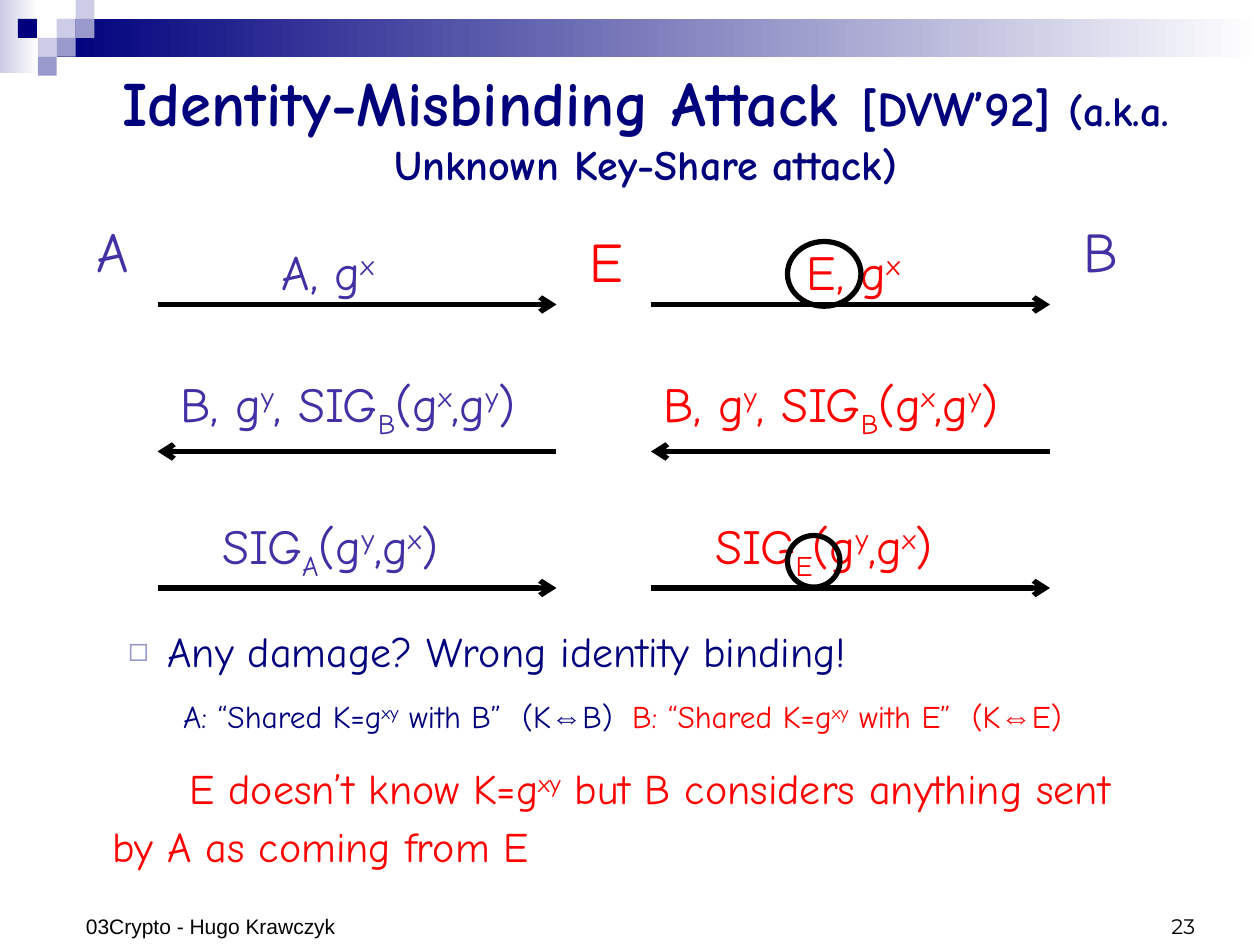
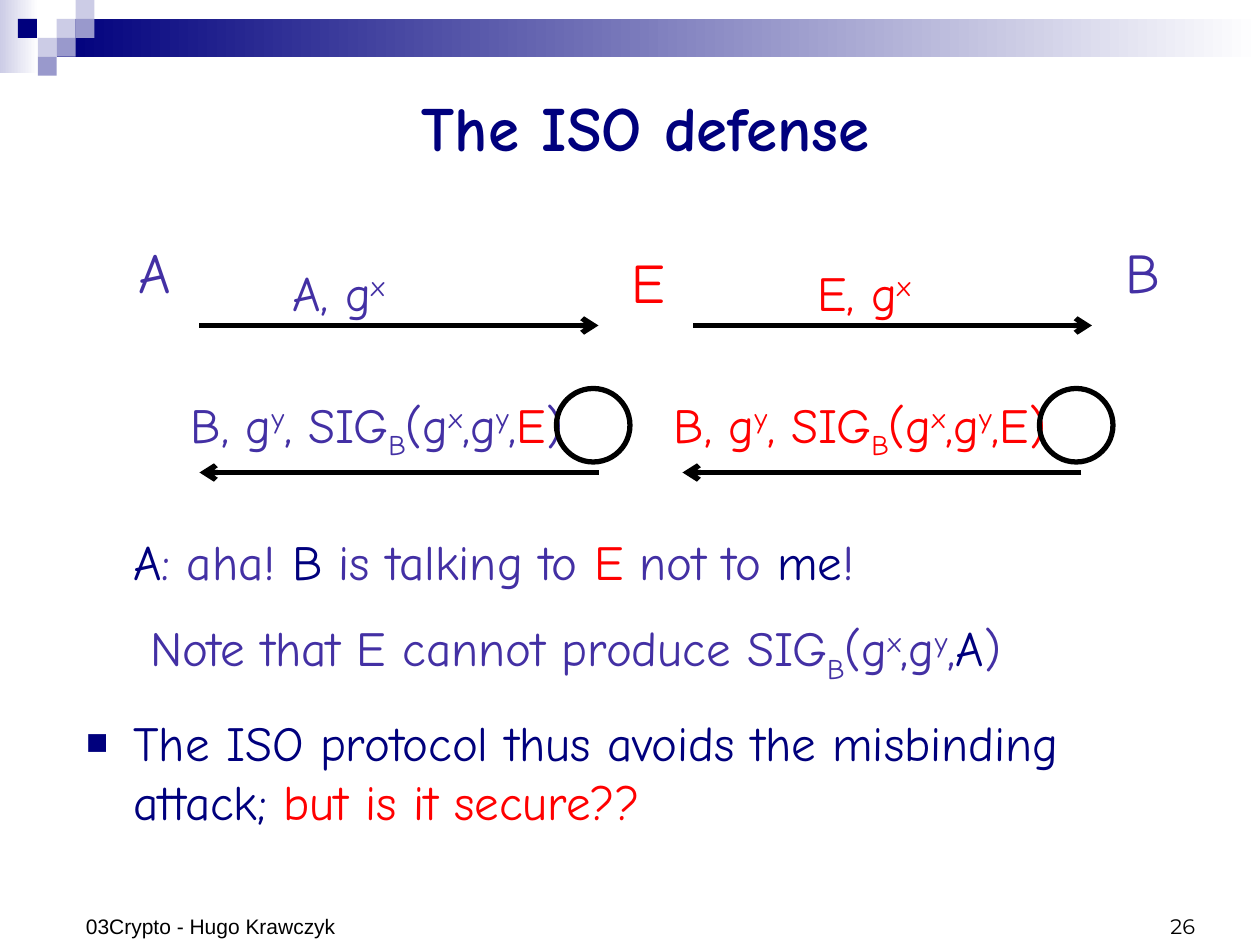
import itertools

import lxml.etree
import pptx
import pptx.dml.color
import pptx.enum.shapes
import pptx.enum.text
import pptx.oxml.ns
import pptx.util

Pt = pptx.util.Pt
RGBColor = pptx.dml.color.RGBColor
SHAPES = pptx.enum.shapes.MSO_SHAPE
ALIGN = pptx.enum.text.PP_ALIGN
ANCHOR = pptx.enum.text.MSO_ANCHOR

NAVY = RGBColor(0x00, 0x00, 0x7D)
PERIWINKLE = RGBColor(0x99, 0x99, 0xCC)
LAVENDER = RGBColor(0xCC, 0xCC, 0xE6)
VIOLET = RGBColor(0x43, 0x30, 0xA4)
RED = RGBColor(0xFF, 0x00, 0x00)
BLACK = RGBColor(0x00, 0x00, 0x00)
WHITE = RGBColor(0xFF, 0xFF, 0xFF)

HAND_FONT = "Comic Neue"
SYMBOL_FONT = "Arial"
BASELINES = {"^": 30000, "_": -25000}

FOOTER = "03Crypto - Hugo Krawczyk"
FOOTER_BOX = (42, 502.5, 190, 37.5)
NUMBER_BOX = (522, 504, 168, 36)
TITLE_BOX = (42, 18, 654, 108)
CELL = 10.8
CORNER_SQUARES = [
    (3, 1, LAVENDER), (4, 0, LAVENDER), (4, 1, PERIWINKLE), (2, 2, LAVENDER),
    (0.95, 1, NAVY), (3, 2, PERIWINKLE), (2, 3, PERIWINKLE),
]
ARROW_LENGTH = 228
MESSAGE_SIZE = 28
# Name, colour, offset from the start of the first arrow
PARTIES = [("A", VIOLET, -42, -54), ("E", RED, 240, -48), ("B", VIOLET, 522, -54)]

# A run is (text, colour[, size]); ^ raises and _ lowers the next character.
# An arrow is (left, y, points right); a message is (left, top, runs).
SLIDES = [
    {
        "number": "23",
        "title": [("Identity-Misbinding Attack ", NAVY), ("[DVW’92] ", NAVY, 28),
                  ("(a.k.a. Unknown Key-Share attack)", NAVY, 24)],
        "arrows": [(90, 174, True), (372, 174, True), (90, 258, False),
                   (372, 258, False), (90, 336, True), (372, 336, True)],
        "messages": [
            (154, 134.5, [("A, g^x", VIOLET)]),
            (454, 134.5, [("E, g^x", RED)]),
            (96, 210, [("B, g^y, SIG_B(g^x,g^y)", VIOLET)]),
            (372, 210, [("B, g^y, SIG_B(g^x,g^y)", RED)]),
            (120, 291, [("SIG_A(g^y,g^x)", VIOLET)]),
            (402, 291, [("SIG_E(g^y,g^x)", RED)]),
        ],
        "circles": [(450, 138, 42, 37), (450, 306, 30, 29.5)],
        "body_box": (30, 354, 620, 186),
        "body": [
            {"size": 24, "margin": 58.5, "indent": -22.5, "before": 6, "after": 7.5,
             "bullet": ("◻", PERIWINKLE, 80),
             "runs": [("Any damage? Wrong identity binding!", NAVY)]},
            {"size": 18, "indent": 67.5, "before": 4.5, "after": 5.6, "tab": 343,
             "runs": [("A: “Shared K=g^x^y with B”  (K⇔B)\t", NAVY),
                      ("B: “Shared K=g^x^y with E”  (K⇔E)", RED)]},
            {"size": 24, "margin": 27, "indent": 44, "before": 6, "after": 7.5,
             "spacing": 1.15,
             "runs": [("E doesn’t know K=g^x^y but B considers anything sent "
                       "by A as coming from E", RED)]},
        ],
    },
    {
        "number": "26",
        "title": [("The ISO defense", NAVY)],
        "arrows": [(114, 186, True), (396, 186, True), (114, 270, False),
                   (390, 270, False)],
        "messages": [
            (160, 146.5, [("A, g^x", VIOLET)]),
            (460, 146.5, [("E, g^x", RED)]),
            (102, 222, [("B, g^y, SIG_B(g^x,g^y,", VIOLET), ("E", RED), (")", VIOLET)]),
            (378, 222, [("B, g^y, SIG_B(g^x,g^y,E)", RED)]),
        ],
        "circles": [(594, 222, 42, 42), (318, 222, 42, 42)],
        "body_box": (42, 300, 648, 240),
        "body": [
            {"size": 28, "margin": 27, "before": 7, "after": 8.8,
             "runs": [("A", NAVY), (": aha! ", VIOLET), ("B", NAVY),
                      (" is talking to ", VIOLET), ("E", RED), (" not to ", VIOLET),
                      ("me", NAVY), ("!", VIOLET)]},
            {"size": 28, "margin": 36.5, "before": 7, "after": 8.8,
             "runs": [("Note that E cannot produce SIG_B(g^x,g^y,", VIOLET),
                      ("A", NAVY), (")", VIOLET)]},
            {"size": 28, "margin": 27, "indent": -27, "before": 7, "after": 8.8,
             "bullet": ("■", NAVY, 75),
             "runs": [("The ISO protocol thus avoids the misbinding attack; ", NAVY),
                      ("but is it secure??", RED)]},
        ],
    },
]


def set_values(target, values):
    for name, value in values.items():
        setattr(target, name, value)


def points(box):
    return [Pt(length) for length in box]


def add_element(parent, tag, **attributes):
    element = lxml.etree.SubElement(parent, pptx.oxml.ns.qn(tag))
    for name, value in attributes.items():
        element.set(name, str(value))
    return element


def split_markup(markup, font_name):
    """Yield (text, baseline, font name) for each stretch of equal format."""
    characters, baseline = [], 0
    for character in markup:
        if character in BASELINES:
            baseline = BASELINES[character]
        else:
            name = SYMBOL_FONT if character == "⇔" else font_name
            characters.append((character, baseline, name))
            baseline = 0
    for (baseline, name), group in itertools.groupby(characters, lambda item: item[1:]):
        yield "".join(item[0] for item in group), baseline, name


def add_runs(paragraph, runs, size, font_name=HAND_FONT, bold=False):
    for markup, color, *own_size in runs:
        for text, baseline, name in split_markup(markup, font_name):
            run = paragraph.add_run()
            run.text = text
            run_size = own_size[0] if own_size else size
            set_values(run.font, {"size": Pt(run_size), "name": name, "bold": bold})
            run.font.color.rgb = color
            if baseline:
                run.font._element.set("baseline", str(baseline))


def set_frame(shape, anchor):
    set_values(shape.text_frame, {
        "word_wrap": True, "vertical_anchor": anchor,
        "auto_size": pptx.enum.text.MSO_AUTO_SIZE.NONE,
        "margin_left": Pt(7.2), "margin_right": Pt(7.2),
        "margin_top": Pt(3.6), "margin_bottom": Pt(3.6),
    })


def place(placeholder, box, anchor):
    names = ("left", "top", "width", "height")
    set_values(placeholder, dict(zip(names, points(box))))
    set_frame(placeholder, anchor)


def add_text(slide, box, runs, size, font_name=HAND_FONT, anchor=ANCHOR.TOP,
             align=ALIGN.LEFT):
    shape = slide.shapes.add_textbox(*points(box))
    set_frame(shape, anchor)
    paragraph = shape.text_frame.paragraphs[0]
    paragraph.alignment = align
    add_runs(paragraph, runs, size, font_name)


def add_block(slide, box, color, fades=False):
    shape = slide.shapes.add_shape(SHAPES.RECTANGLE, *points(box))
    shape.shadow.inherit = False
    shape.line.fill.background()
    if fades:
        shape.fill.gradient()
        shape.fill.gradient_angle = 0
        for stop, stop_color in zip(shape.fill.gradient_stops, (color, WHITE)):
            stop.color.rgb = stop_color
    else:
        shape.fill.solid()
        shape.fill.fore_color.rgb = color


def add_decoration(slide, number):
    add_block(slide, (0, 0, 22, 42), LAVENDER, fades=True)
    add_block(slide, (3 * CELL, CELL, 720 - 3 * CELL, 2 * CELL), NAVY, fades=True)
    for column, row, color in CORNER_SQUARES:
        add_block(slide, (column * CELL, row * CELL, CELL, CELL), color)
    add_text(slide, NUMBER_BOX, [(number, BLACK)], 12, "Montserrat",
             ANCHOR.BOTTOM, ALIGN.RIGHT)
    add_text(slide, FOOTER_BOX, [(FOOTER, BLACK)], 12, "Arial", ANCHOR.BOTTOM)


def add_title(slide, runs):
    place(slide.shapes.title, TITLE_BOX, ANCHOR.MIDDLE)
    paragraph = slide.shapes.title.text_frame.paragraphs[0]
    paragraph.alignment = ALIGN.CENTER
    add_runs(paragraph, runs, 36, bold=True)


def add_body(slide, box, items):
    body = slide.placeholders[1]
    place(body, box, ANCHOR.TOP)
    frame = body.text_frame
    for index, item in enumerate(items):
        paragraph = frame.add_paragraph() if index else frame.paragraphs[0]
        set_values(paragraph, {
            "alignment": ALIGN.LEFT, "line_spacing": item.get("spacing", 1.0),
            "space_before": Pt(item["before"]), "space_after": Pt(item["after"]),
        })
        properties = paragraph._p.get_or_add_pPr()
        properties.set("marL", str(Pt(item.get("margin", 0))))
        properties.set("indent", str(Pt(item.get("indent", 0))))
        if "bullet" in item:
            symbol, color, percent = item["bullet"]
            add_element(add_element(properties, "a:buClr"), "a:srgbClr", val=color)
            add_element(properties, "a:buSzPct", val=percent * 1000)
            add_element(properties, "a:buChar", char=symbol)
        else:
            add_element(properties, "a:buNone")
        if "tab" in item:
            tabs = add_element(properties, "a:tabLst")
            add_element(tabs, "a:tab", pos=Pt(item["tab"]), algn="l")
        add_runs(paragraph, item["runs"], item["size"])


def add_arrow(slide, left, y, points_right):
    ends = (left, left + ARROW_LENGTH)
    start, end = ends if points_right else ends[::-1]
    arrow = slide.shapes.add_connector(
        pptx.enum.shapes.MSO_CONNECTOR.STRAIGHT, *points((start, y, end, y)))
    arrow.line.color.rgb = BLACK
    arrow.line.width = Pt(3)
    add_element(arrow.line._get_or_add_ln(), "a:tailEnd", type="arrow")
    add_element(arrow._element.spPr, "a:effectLst")


def add_circle(slide, box):
    circle = slide.shapes.add_shape(SHAPES.OVAL, *points(box))
    circle.shadow.inherit = False
    circle.fill.background()
    circle.line.color.rgb = BLACK
    circle.line.width = Pt(3)


def add_exchange(slide, content):
    for arrow in content["arrows"]:
        add_arrow(slide, *arrow)
    for left, top, runs in content["messages"]:
        add_text(slide, (left, top, 270, 45), runs, MESSAGE_SIZE)
    first_left, first_y, _ = content["arrows"][0]
    for name, color, across, down in PARTIES:
        box = (first_left + across, first_y + down, 42, 46)
        add_text(slide, box, [(name, color)], 32)
    for box in content["circles"]:
        add_circle(slide, box)


def main():
    presentation = pptx.Presentation()
    presentation.slide_width, presentation.slide_height = Pt(720), Pt(540)
    for content in SLIDES:
        slide = presentation.slides.add_slide(presentation.slide_layouts[1])
        add_decoration(slide, content["number"])
        add_title(slide, content["title"])
        add_body(slide, content["body_box"], content["body"])
        add_exchange(slide, content)
    presentation.save("out.pptx")


if __name__ == "__main__":
    main()
